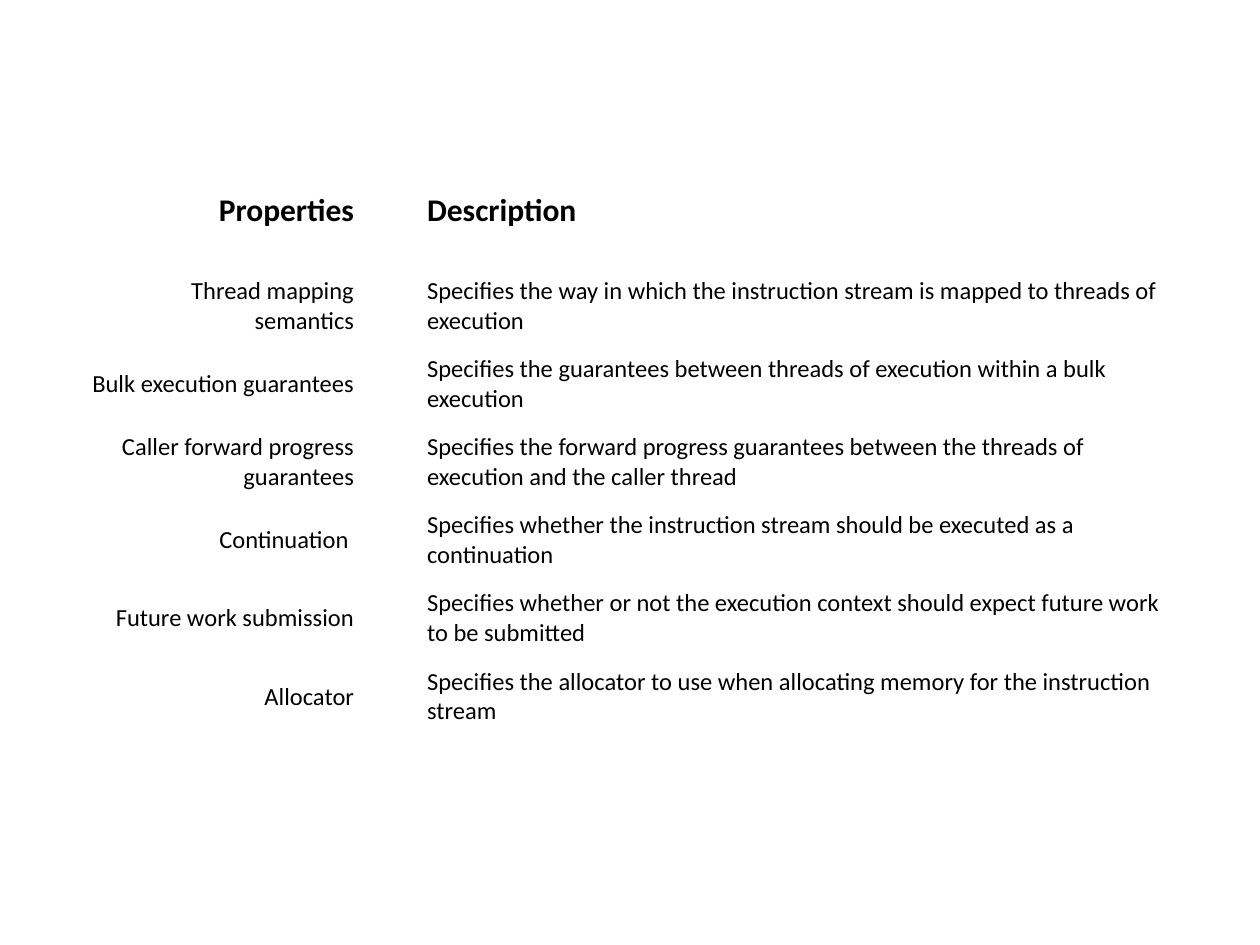
from pptx import Presentation
from pptx.dml.color import RGBColor
from pptx.enum.text import MSO_ANCHOR, PP_ALIGN
from pptx.util import Inches, Pt

COLORS = {"text": "000000"}
FONT = "Calibri"
COL_WIDTHS = [2.25, 0.44, 6.04]
HEADER_HEIGHT, ROW_HEIGHT = 0.9, 0.62
HEADER = ("Properties", "Description")
PROPERTIES = [
    ("Thread mapping semantics",
     "Specifies the way in which the instruction stream is mapped to threads of execution"),
    ("Bulk execution guarantees",
     "Specifies the guarantees between threads of execution within a bulk execution"),
    ("Caller forward progress guarantees",
     "Specifies the forward progress guarantees between the threads of execution and the caller thread"),
    ("Continuation ",
     "Specifies whether the instruction stream should be executed as a continuation"),
    ("Future work submission",
     "Specifies whether or not the execution context should expect future work to be submitted"),
    ("Allocator",
     "Specifies the allocator to use when allocating memory for the instruction stream"),
]


def fill_cell(cell, text, align, size, bold):
    cell.vertical_anchor = MSO_ANCHOR.MIDDLE
    cell.margin_left = cell.margin_right = Inches(0.07)
    cell.margin_top = cell.margin_bottom = Inches(0.07)
    p = cell.text_frame.paragraphs[0]
    p.alignment = align
    r = p.add_run()
    r.text = text
    r.font.name = FONT
    r.font.size = Pt(size)
    r.font.bold = bold
    r.font.color.rgb = RGBColor.from_string(COLORS["text"])


def add_properties_table(s):
    rows = [HEADER] + PROPERTIES
    heights = [HEADER_HEIGHT] + [ROW_HEIGHT] * len(PROPERTIES)
    table = s.shapes.add_table(
        len(rows), len(COL_WIDTHS), Inches(0.63), Inches(1.22),
        Inches(sum(COL_WIDTHS)), Inches(sum(heights))).table
    table.first_row = False
    table.horz_banding = False
    for column, width in zip(table.columns, COL_WIDTHS):
        column.width = Inches(width)
    for row, height in zip(table.rows, heights):
        row.height = Inches(height)
    for cell in table.iter_cells():
        cell.fill.background()
    for i, (name, description) in enumerate(rows):
        size, bold = (18, True) if i == 0 else (14, False)
        fill_cell(table.cell(i, 0), name, PP_ALIGN.RIGHT, size, bold)
        fill_cell(table.cell(i, 2), description, PP_ALIGN.LEFT, size, bold)


def main():
    prs = Presentation()
    prs.slide_width = Inches(10)
    prs.slide_height = Inches(7.5)
    s = prs.slides.add_slide(prs.slide_layouts[6])
    add_properties_table(s)
    prs.save("out.pptx")


if __name__ == "__main__":
    main()
